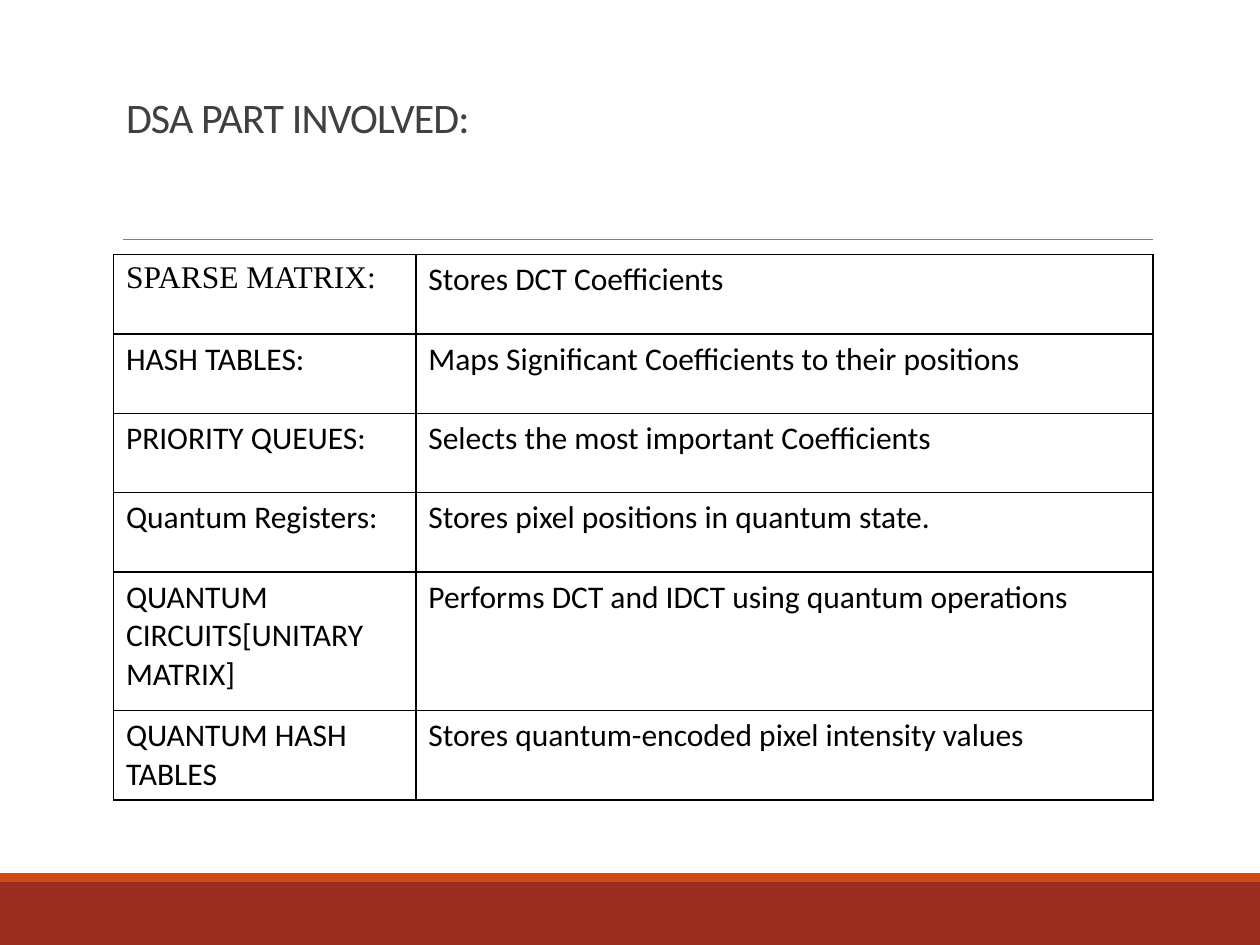
"""Build the slide that lists the data structures involved."""
from lxml.etree import SubElement
from pptx import Presentation
from pptx.dml.color import RGBColor
from pptx.enum.shapes import MSO_CONNECTOR, MSO_SHAPE
from pptx.enum.text import MSO_ANCHOR, PP_ALIGN
from pptx.oxml.ns import qn
from pptx.util import Inches, Pt


def color(code):
    return RGBColor.from_string(code)


def write(frame, text, size=18, font="Calibri", fill="000000", space=None, line=None):
    para = frame.paragraphs[0]
    para.alignment = PP_ALIGN.LEFT
    if line:
        para.line_spacing = line
    run = para.add_run()
    run.text = text
    run.font.size = Pt(size)
    run.font.name = font
    run.font.color.rgb = color(fill)
    if space:
        run._r.get_or_add_rPr().set("spc", str(int(space * 100)))


deck = Presentation()
deck.slide_width = Inches(10)
deck.slide_height = Inches(7.5)
slide = deck.slides.add_slide(deck.slide_layouts[5])
shapes = slide.shapes

for top, height, fill in [(7, 0.5, "9B2D1F"), (6.93, 0.07, "D34817")]:
    band = shapes.add_shape(
        MSO_SHAPE.RECTANGLE, 0, Inches(top), Inches(10), Inches(height))
    band.shadow.inherit = False
    band.fill.solid()
    band.fill.fore_color.rgb = color(fill)
    band.line.fill.background()

rule = shapes.add_connector(
    MSO_CONNECTOR.STRAIGHT, Inches(0.98), Inches(1.9), Inches(9.15), Inches(1.9))
rule.line.color.rgb = color("808080")
rule.line.width = Pt(0.5)
SubElement(rule._element.spPr, qn("a:effectLst"))

title = shapes.title
title.left, title.top = Inches(0.9), Inches(0.31)
title.width, title.height = Inches(8.25), Inches(0.87)
title.text_frame.word_wrap = True
title.text_frame.vertical_anchor = MSO_ANCHOR.BOTTOM
write(title.text_frame, "DSA PART INVOLVED:", size=24, fill="404040",
      space=-0.5, line=0.85)

rows = [
    ("SPARSE MATRIX:", "Stores DCT Coefficients"),
    ("HASH TABLES:", "Maps Significant Coefficients to their positions"),
    ("PRIORITY QUEUES:", "Selects the most important Coefficients"),
    ("Quantum Registers:", "Stores pixel positions in quantum state."),
    ("QUANTUM CIRCUITS[UNITARY MATRIX]",
     "Performs DCT and IDCT using quantum operations"),
    ("QUANTUM HASH TABLES", "Stores quantum-encoded pixel intensity values"),
]
heights = [0.63, 0.63, 0.63, 0.63, 1.1, 0.63]
table = shapes.add_table(
    len(rows), 2, Inches(0.9), Inches(2.02), Inches(8.25), Inches(4.32)).table
table.first_row = False
table.horz_banding = False
for col, width in zip(table.columns, [2.4, 5.85]):
    col.width = Inches(width)

for i, (row, height) in enumerate(zip(rows, heights)):
    table.rows[i].height = Inches(height)
    for j, text in enumerate(row):
        cell = table.cell(i, j)
        font = "Times New Roman" if i == j == 0 else "Calibri"
        write(cell.text_frame, text, font=font)
        props = cell._tc.get_or_add_tcPr()
        for side in ["lnL", "lnR", "lnT", "lnB"]:
            edge = SubElement(props, qn("a:" + side), w=str(Pt(1)))
            paint = SubElement(edge, qn("a:solidFill"))
            SubElement(paint, qn("a:srgbClr"), val="000000")
        cell.fill.background()

deck.save("out.pptx")
